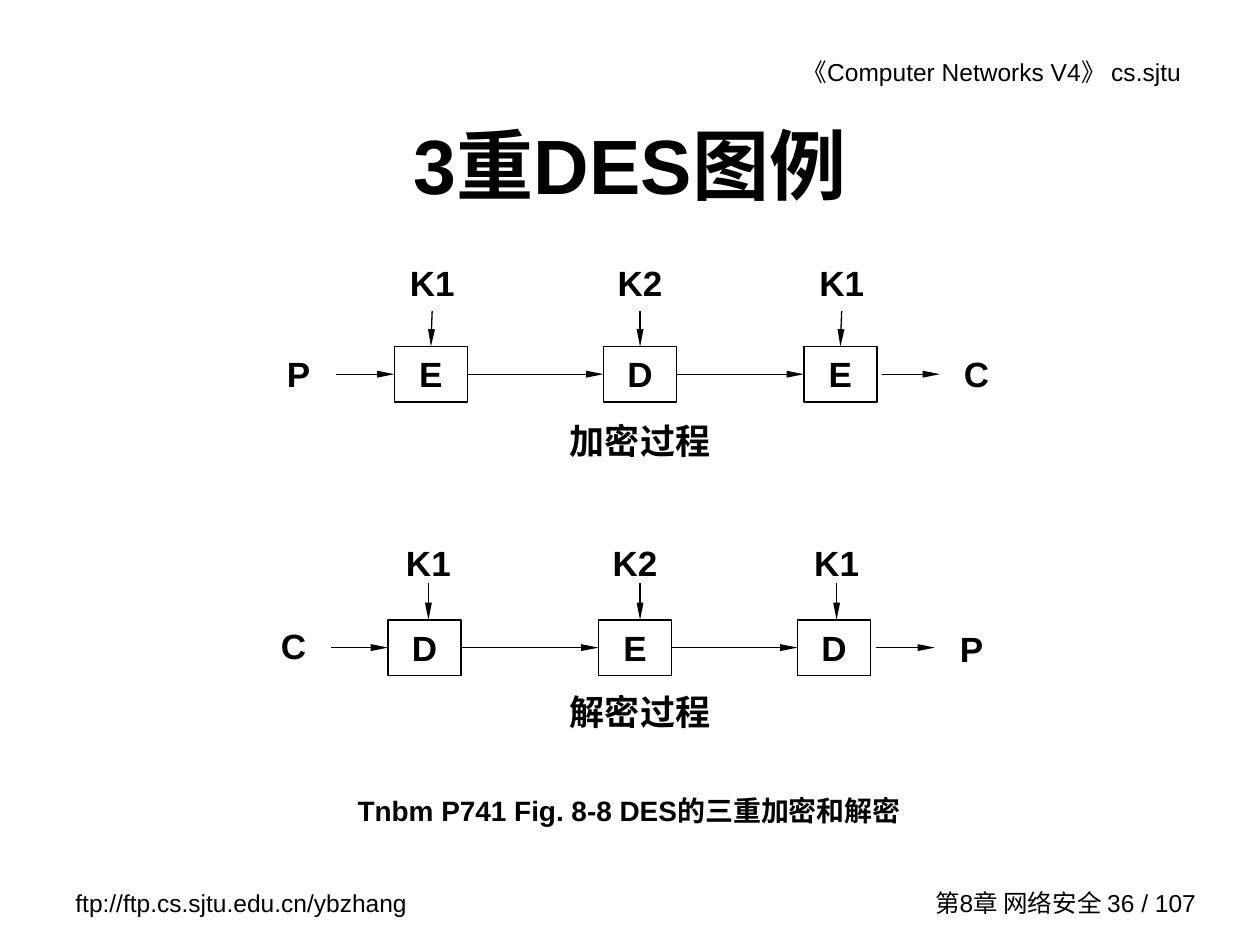
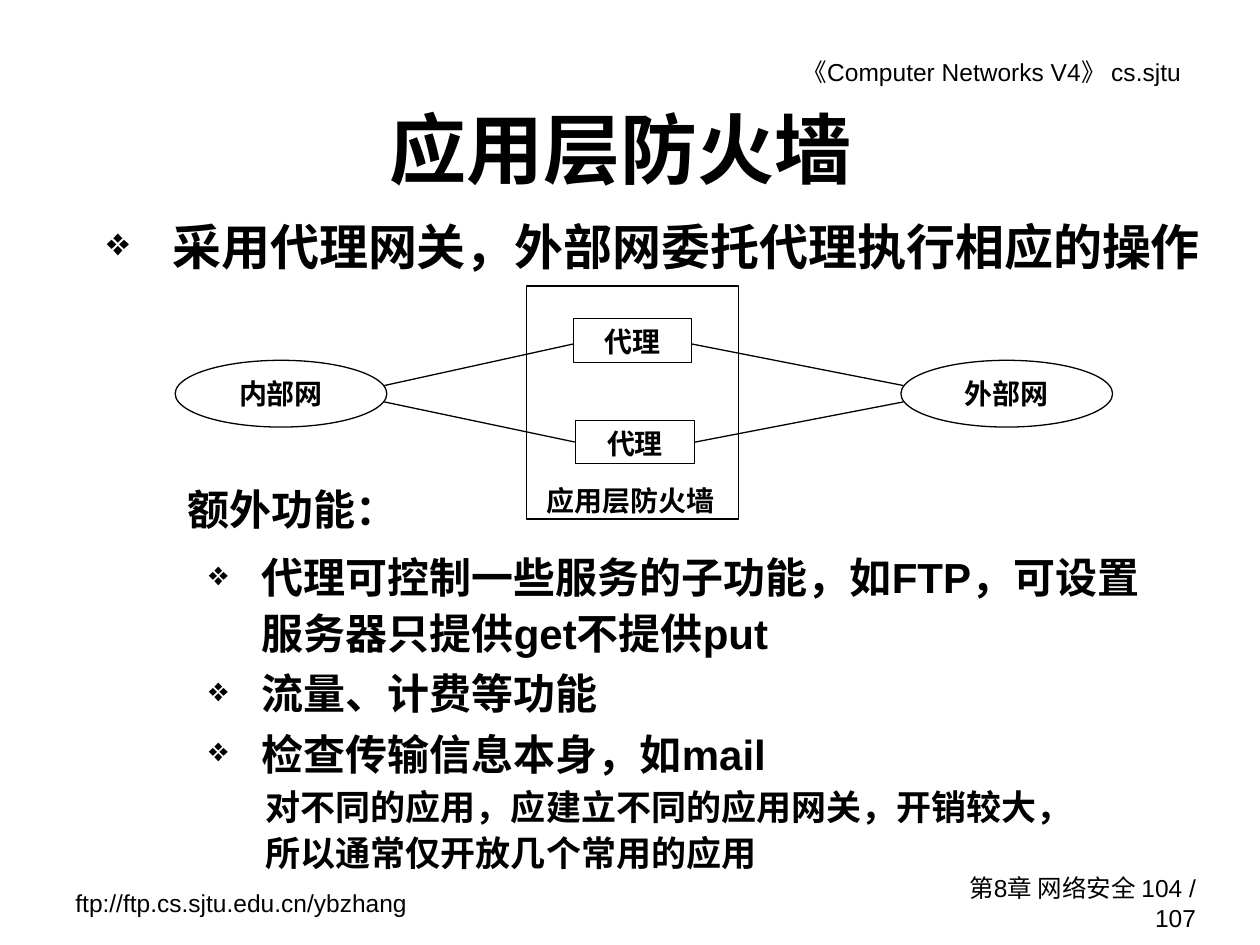
from lxml import etree
from pptx import Presentation
from pptx.dml.color import RGBColor
from pptx.enum.shapes import MSO_CONNECTOR, MSO_SHAPE
from pptx.enum.text import MSO_ANCHOR, PP_ALIGN
from pptx.oxml.ns import qn
from pptx.util import Pt

SCALE = 9144  # EMU per px, 100 px to the inch
BLACK = RGBColor(0, 0, 0)
WHITE = RGBColor(255, 255, 255)
SANS, SERIF, CJK = "Arial", "Times New Roman", "Noto Sans CJK SC"
LEFT, CENTER, RIGHT = PP_ALIGN.LEFT, PP_ALIGN.CENTER, PP_ALIGN.RIGHT
TOP, MIDDLE = MSO_ANCHOR.TOP, MSO_ANCHOR.MIDDLE
RECTANGLE, OVAL = MSO_SHAPE.RECTANGLE, MSO_SHAPE.OVAL
STRAIGHT = MSO_CONNECTOR.STRAIGHT
SITE_TOP, SITE_LEFT, SITE_RIGHT = 0, 1, 3
CELL_W, CELL_H = 58, 44


def px(*lengths):
    return [length * SCALE for length in lengths]


class SlideBuilder:
    """Holds the deck, its style and the current page."""

    def __init__(self):
        self.deck = Presentation()
        self.deck.slide_width, self.deck.slide_height = px(1000, 750)
        self.page = None

    def new_page(self, title, title_at, number):
        self.page = self.deck.slides.add_slide(self.deck.slide_layouts[6])
        self.page.background.fill.solid()
        self.page.background.fill.fore_color.rgb = WHITE
        # Header and footer
        self.text((522, 40, 425, 34), "《Computer Networks V4》 cs.sjtu", 14,
                  align=RIGHT, bold=False)
        self.text((50, 700, 292, 34), "ftp://ftp.cs.sjtu.edu.cn/ybzhang", 14, bold=False)
        self.text((730, 700, 229, 33), f"第8章 网络安全 {number} / 107", 14,
                  align=RIGHT, anchor=MIDDLE, bold=False)
        # Title
        self.text(title_at, title, 44, align=CENTER, anchor=MIDDLE)

    def fill_text(self, shape, lines, size, font=SANS, align=LEFT, anchor=TOP,
                  bold=True, spacing=None, hanging=0):
        frame = shape.text_frame
        frame.word_wrap = True
        frame.vertical_anchor = anchor
        for index, line in enumerate(lines.split("\n")):
            para = frame.add_paragraph() if index else frame.paragraphs[0]
            para.text = line
            para.alignment = align
            if spacing:
                para.line_spacing = spacing
            if index:
                para.space_before = Pt(3)
            if hanging:
                self.bullet(para, hanging)
            para.font.size = Pt(size)
            para.font.bold = bold
            para.font.color.rgb = BLACK
            para.font.name = font
            latin = para.font._element.find(qn("a:latin"))
            latin.addnext(etree.Element(qn("a:ea"), typeface=CJK))

    def bullet(self, para, hanging):
        props = para._p.get_or_add_pPr()
        props.set("marL", str(hanging * SCALE))
        props.set("indent", str(-hanging * SCALE))
        color = etree.SubElement(props, qn("a:buClr"))
        etree.SubElement(color, qn("a:srgbClr"), val=str(BLACK))
        etree.SubElement(props, qn("a:buSzPct"), val="80000")
        etree.SubElement(props, qn("a:buChar"), char="❖")

    def text(self, at, lines, size, **style):
        box = self.page.shapes.add_textbox(*px(*at))
        self.fill_text(box, lines, size, **style)

    def outline(self, at, label="", size=16, kind=RECTANGLE, font=SERIF):
        shape = self.page.shapes.add_shape(kind, *px(*at))
        shape.shadow.inherit = False
        shape.fill.background()
        shape.line.color.rgb = BLACK
        shape.line.width = Pt(0.75)
        if label:
            self.fill_text(shape, label, size, font=font, align=CENTER)
        return shape

    def line(self, start, end, begin=None, finish=None, arrow=False):
        """Draw a line; begin and finish are (shape, site) joints."""
        link = self.page.shapes.add_connector(STRAIGHT, *px(*start, *end))
        if begin:
            link.begin_connect(*begin)
        if finish:
            link.end_connect(*finish)
        link.line.color.rgb = BLACK
        link.line.width = Pt(0.75)
        if arrow:
            etree.SubElement(link.line._get_or_add_ln(), qn("a:tailEnd"),
                             type="triangle", w="sm", len="lg")
        etree.SubElement(link._element.spPr, qn("a:effectLst"))


def cipher_chain(builder, stages, lefts, top, key_lefts, key_top, arrow_top,
                 arrow_xs, source, target, caption, caption_top):
    """Draw source -> three keyed stages -> target with a caption below."""
    label = {"size": 20, "align": CENTER}
    middle = top + CELL_H // 2
    boxes = [builder.outline((left, top, CELL_W, CELL_H), stage, 20, font=SANS)
             for stage, left in zip(stages, lefts)]

    # Keys and their arrows
    for box, left, key, key_left, x in zip(boxes, lefts, ("K1", "K2", "K1"),
                                           key_lefts, arrow_xs):
        builder.text((key_left, key_top, CELL_W, CELL_H), key, **label)
        centered = abs(x - left - CELL_W // 2) <= 1
        builder.line((x, arrow_top), (x, top), arrow=True,
                     finish=(box, SITE_TOP) if centered else None)

    # Input, output and the arrows along the chain
    for name, left, label_top in (source, target):
        builder.text((left, label_top, CELL_W, CELL_H), name, **label)
    builder.line((source[1] + CELL_W + 1, middle), (lefts[0], middle),
                 finish=(boxes[0], SITE_LEFT), arrow=True)
    for index in range(2):
        builder.line((lefts[index] + CELL_W, middle), (lefts[index + 1], middle),
                     (boxes[index], SITE_RIGHT), (boxes[index + 1], SITE_LEFT), True)
    builder.line((lefts[-1] + CELL_W + 4, middle), (target[1], middle), arrow=True)
    builder.text((437, caption_top, 142, CELL_H), caption, **label)


def triple_des_page(builder):
    builder.new_page("3重DES图例", (75, 67, 850, 125), 36)
    cipher_chain(builder, "EDE", (313, 479, 638), 275, (314, 479, 639), 203, 247,
                 (343, 508, 668), ("P", 208, 275), ("C", 746, 275), "加密过程", 328)
    cipher_chain(builder, "DED", (308, 475, 633), 492, (311, 475, 635), 425, 463,
                 (340, 508, 664), ("C", 204, 491), ("P", 742, 493), "解密过程", 543)
    builder.text((274, 617, 463, 50), "Tnbm P741 Fig. 8-8 DES的三重加密和解密", 16,
                 spacing=1.3)


def firewall_page(builder):
    builder.new_page("应用层防火墙", (68, 67, 850, 100), 104)
    builder.text((75, 167, 900, 67), "采用代理网关，外部网委托代理执行相应的操作", 28,
                 hanging=52)

    # Networks, firewall and proxies
    for left, name in ((139, "内部网"), (715, "外部网")):
        builder.outline((left, 286, 168, 53), name, kind=OVAL)
    builder.outline((418, 227, 168, 185))
    builder.outline((455, 253, 94, 35), "代理")
    lower_proxy = builder.outline((457, 334, 94, 34), "代理")
    builder.line((305, 306), (455, 273))
    builder.line((549, 273), (717, 306))
    builder.line((305, 319), (457, 352), finish=(lower_proxy, SITE_LEFT))
    builder.line((551, 352), (717, 319), begin=(lower_proxy, SITE_RIGHT))
    builder.text((417, 379, 167, 34), "应用层防火墙", 16, font=SERIF, align=CENTER)

    # Extra functions
    builder.text((139, 379, 202, 50), "额外功能：", 24)
    builder.text((156, 429, 786, 195),
                 "代理可控制一些服务的子功能，如FTP，可设置服务器只提供get不提供put\n"
                 "流量、计费等功能\n"
                 "检查传输信息本身，如mail", 24, spacing=1.1, hanging=42)
    builder.text((201, 615, 683, 84),
                 "对不同的应用，应建立不同的应用网关，开销较大，所以通常仅开放几个常用的应用",
                 20, font=CJK, spacing=1.1)


def main():
    builder = SlideBuilder()
    triple_des_page(builder)
    firewall_page(builder)
    builder.deck.save("out.pptx")


if __name__ == "__main__":
    main()
